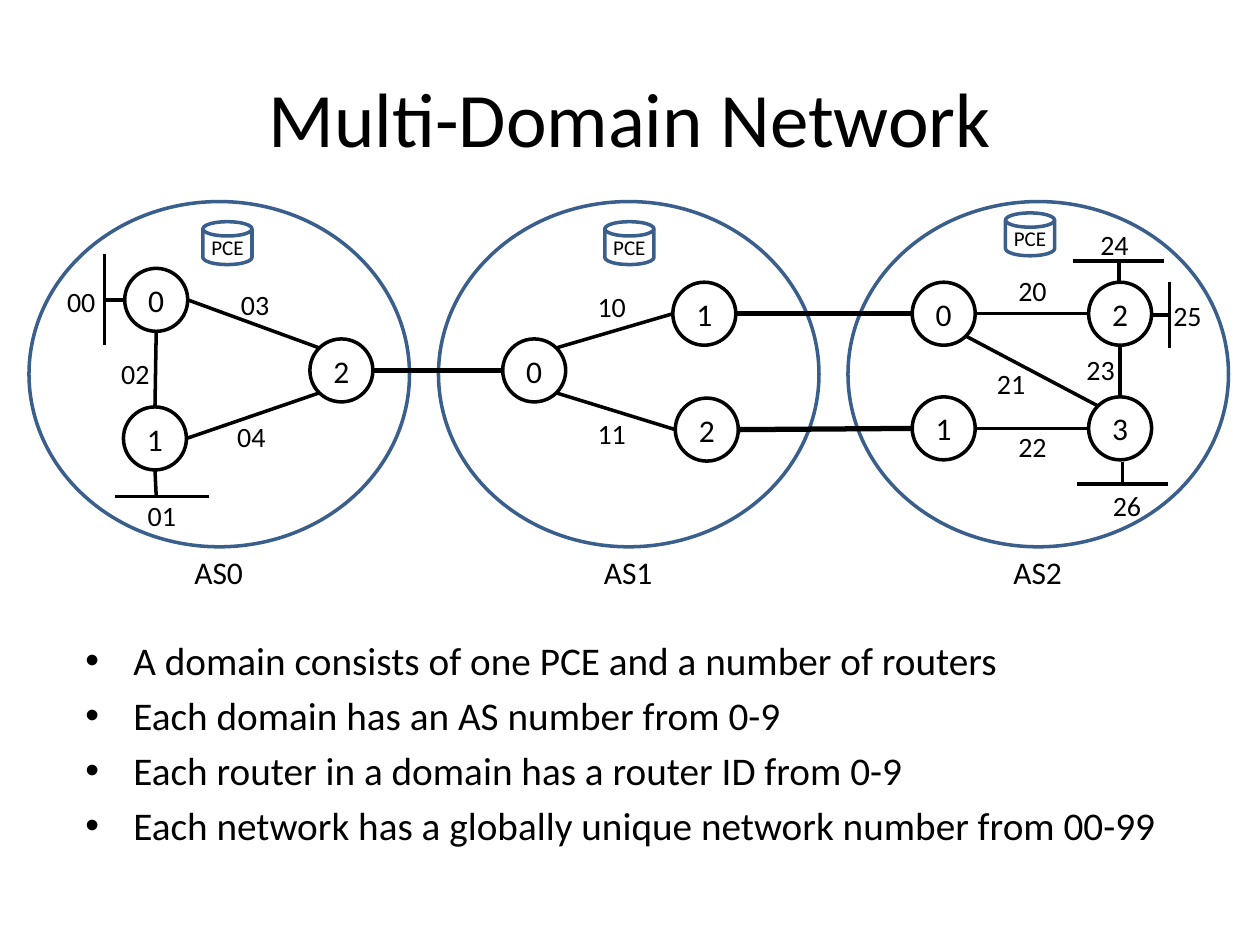
"""Build the Multi-Domain Network slide."""
from typing import NamedTuple

from lxml.etree import SubElement
from pptx import Presentation
from pptx.dml.color import RGBColor
from pptx.enum.shapes import MSO_CONNECTOR, MSO_SHAPE
from pptx.enum.text import MSO_ANCHOR as Anchor, PP_ALIGN as Align
from pptx.oxml.ns import qn
from pptx.util import Pt

PX = 9144
BLACK = RGBColor(0x00, 0x00, 0x00)
WHITE = RGBColor(0xFF, 0xFF, 0xFF)
BLUE = RGBColor(0x3A, 0x5F, 0x8C)
FONT = "Calibri"
ROUTER_SIZE = 50
PORTS = {"top": (0, -25), "left": (-25, 0), "bottom": (0, 25), "right": (25, 0),
         "top left": (-18, -18), "top right": (18, -18),
         "bottom left": (-18, 18), "bottom right": (18, 18)}


class Domain(NamedTuple):
    name: str
    x: int
    pce_x: int
    pce_y: int


class Router(NamedTuple):
    number: str
    x: int
    y: int

    def port(self, side: str) -> tuple[int, int]:
        dx, dy = PORTS[side]
        return self.x + ROUTER_SIZE // 2 + dx, self.y + ROUTER_SIZE // 2 + dy


class Link(NamedTuple):
    start: Router
    start_side: str
    end: Router
    end_side: str
    weight: int = 2


class Stub(NamedTuple):
    stem: tuple[int, int, int, int]
    bar: tuple[int, int, int, int]


class Label(NamedTuple):
    text: str
    x: int
    y: int


DOMAINS = [Domain("AS0", 23, 161, 176), Domain("AS1", 348, 480, 176),
           Domain("AS2", 673, 798, 169)]

A0, A1, A2 = Router("0", 99, 213), Router("1", 98, 323), Router("2", 246, 269)
B0, B1, B2 = Router("0", 399, 269), Router("1", 534, 224), Router("2", 536, 316)
C0, C1 = Router("0", 724, 224), Router("1", 724, 315)
C2, C3 = Router("2", 864, 224), Router("3", 864, 315)
ROUTERS = [A0, A1, A2, B0, B1, B2, C0, C1, C2, C3]

LINKS = [
    Link(A2, "right", B0, "left", 3),
    Link(B1, "right", C0, "left", 3),
    Link(B2, "right", C1, "left", 3),
    Link(A0, "right", A2, "top left"),
    Link(A1, "right", A2, "bottom left"),
    Link(A0, "bottom", A1, "top"),
    Link(B1, "left", B0, "top right"),
    Link(B0, "bottom right", B2, "left"),
    Link(C0, "right", C2, "left"),
    Link(C1, "right", C3, "left"),
    Link(C2, "bottom", C3, "top"),
    Link(C0, "bottom right", C3, "top left"),
]

STUBS = [
    Stub((99, 238, 83, 238), (83, 202, 83, 274)),
    Stub((123, 373, 124, 394), (91, 394, 166, 394)),
    Stub((891, 367, 891, 384), (855, 384, 927, 384)),
    Stub((914, 250, 928, 250), (928, 224, 928, 276)),
    Stub((888, 224, 888, 207), (924, 207, 852, 207)),
]

LABELS = [
    Label("00", 43, 221), Label("01", 107, 391), Label("02", 86, 278),
    Label("03", 181, 223), Label("04", 178, 328), Label("10", 464, 225),
    Label("11", 464, 326), Label("20", 798, 212), Label("21", 781, 286),
    Label("22", 798, 336), Label("23", 852, 275), Label("24", 863, 176),
    Label("25", 921, 232), Label("26", 873, 383),
]

BULLETS = [
    "A domain consists of one PCE and a number of routers",
    "Each domain has an AS number from 0-9",
    "Each router in a domain has a router ID from 0-9",
    "Each network has a globally unique network number from 00-99",
]


def px(*values: int) -> list[int]:
    return [v * PX for v in values]


def format_text(p, size: float, align: Align) -> None:
    p.alignment = align
    for r in p.runs:
        r.font.name, r.font.size, r.font.color.rgb = FONT, Pt(size), BLACK


def add_outline(s, kind, box: tuple, color, fill=None, text="", size=18) -> None:
    sp = s.shapes.add_shape(kind, *px(*box))
    sp.shadow.inherit = False
    sp.line.color.rgb, sp.line.width = color, Pt(2)
    if fill is None:
        sp.fill.background()
    else:
        sp.fill.solid()
        sp.fill.fore_color.rgb = fill
    if text:
        tf = sp.text_frame
        tf.margin_left = tf.margin_right = tf.margin_top = tf.margin_bottom = 0
        tf.word_wrap, tf.vertical_anchor = False, Anchor.MIDDLE
        tf.text = text
        format_text(tf.paragraphs[0], size, Align.CENTER)


def add_line(s, points: tuple, weight: int = 2) -> None:
    c = s.shapes.add_connector(MSO_CONNECTOR.STRAIGHT, *px(*points))
    c.line.color.rgb, c.line.width = BLACK, Pt(weight)
    SubElement(c._element.spPr, qn("a:effectLst"))


def add_label(s, text: str, box: tuple, size: int) -> None:
    tf = s.shapes.add_textbox(*px(*box)).text_frame
    tf.word_wrap = False
    tf.text = text
    format_text(tf.paragraphs[0], size, Align.CENTER)


def add_domain(s, d: Domain) -> None:
    add_outline(s, MSO_SHAPE.OVAL, (d.x, 160, 302, 274), BLUE)
    add_outline(s, MSO_SHAPE.FLOWCHART_MAGNETIC_DISK, (d.pce_x, d.pce_y, 39, 34),
                BLUE, WHITE, "PCE", 12)
    add_label(s, d.name, (d.x + 121, 434, 59, 40), 18)


def add_bullets(s) -> None:
    tf = s.shapes.add_textbox(*px(58, 500, 900, 158)).text_frame
    tf.word_wrap = True
    tf.text = "\n".join(BULLETS)
    for p in tf.paragraphs:
        format_text(p, 22.4, Align.LEFT)
        p.space_before = Pt(4.5)
        pPr = p._p.get_or_add_pPr()
        pPr.set("marL", str(38 * PX))
        pPr.set("indent", str(-38 * PX))
        SubElement(pPr, qn("a:buFont"), typeface="Arial")
        SubElement(pPr, qn("a:buChar"), char="•")


def add_title(s) -> None:
    sp = s.shapes.title
    sp.left, sp.top, sp.width, sp.height = px(50, 30, 900, 125)
    tf = sp.text_frame
    tf.text = "Multi-Domain Network"
    tf.vertical_anchor = Anchor.MIDDLE
    format_text(tf.paragraphs[0], 44, Align.CENTER)


def main() -> None:
    prs = Presentation()
    prs.slide_width, prs.slide_height = px(1000, 750)
    s = prs.slides.add_slide(prs.slide_layouts[5])
    add_title(s)
    add_bullets(s)
    for d in DOMAINS:
        add_domain(s, d)
    for r in ROUTERS:
        add_outline(s, MSO_SHAPE.OVAL, (r.x, r.y, ROUTER_SIZE, ROUTER_SIZE),
                    BLACK, text=r.number)
    for k in LINKS:
        add_line(s, k.start.port(k.start_side) + k.end.port(k.end_side), k.weight)
    for stub in STUBS:
        add_line(s, stub.stem)
        add_line(s, stub.bar)
    for n in LABELS:
        add_label(s, n.text, (n.x, n.y, 43, 37), 16)
    prs.save("out.pptx")


if __name__ == "__main__":
    main()
